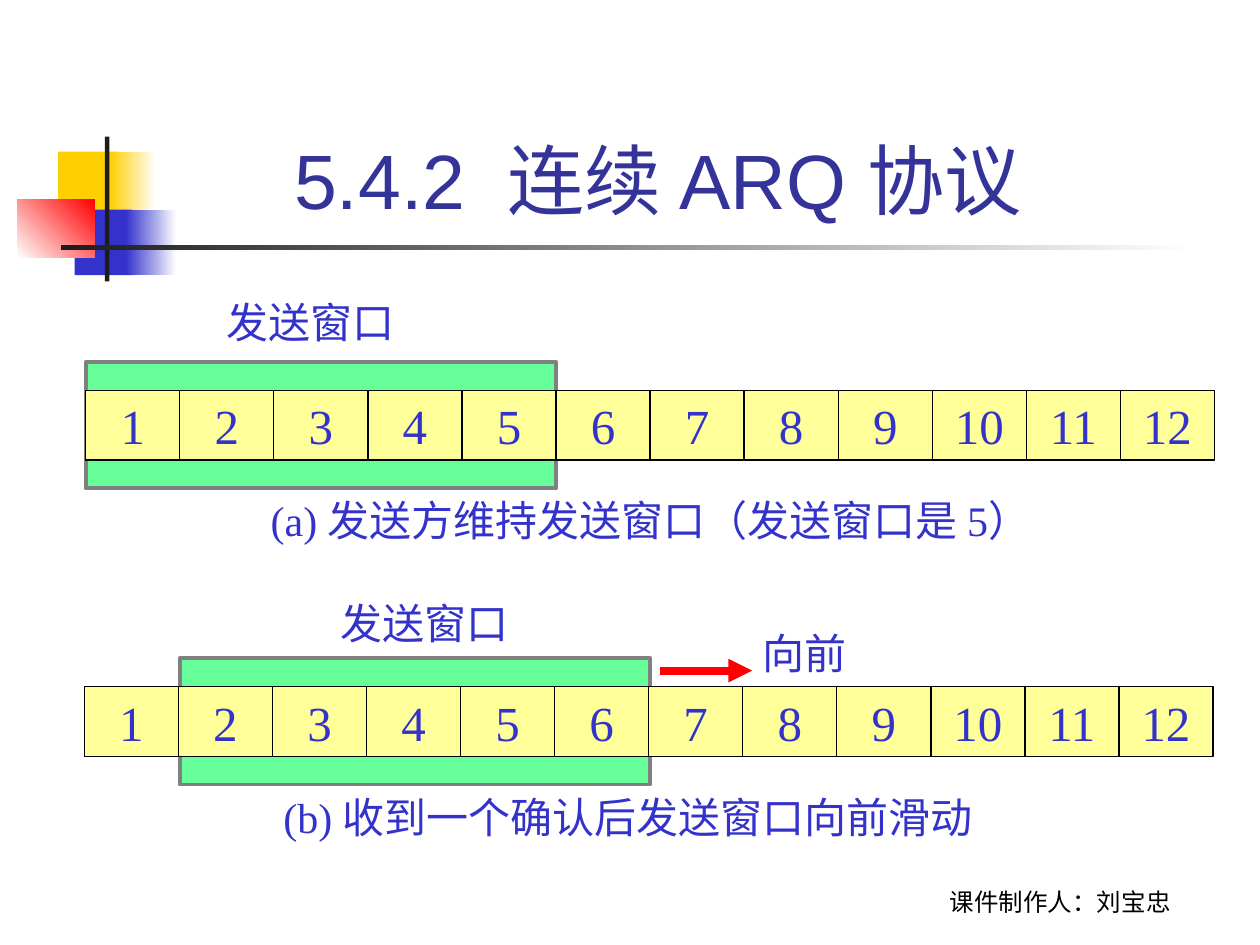
"""Build the slide on the sliding send window of the continuous ARQ protocol."""
import lxml.etree
import pptx
import pptx.dml.color
import pptx.enum.shapes
import pptx.enum.text
import pptx.oxml.ns
import pptx.util

Pt = pptx.util.Pt
RGBColor = pptx.dml.color.RGBColor
PP_ALIGN = pptx.enum.text.PP_ALIGN
MSO_ANCHOR = pptx.enum.text.MSO_ANCHOR
MSO_AUTO_SIZE = pptx.enum.text.MSO_AUTO_SIZE
qn = pptx.oxml.ns.qn

WHITE = RGBColor(0xFF, 0xFF, 0xFF)
BLACK = RGBColor(0x00, 0x00, 0x00)
CHARCOAL = RGBColor(0x1C, 0x1C, 0x1C)
GRAY = RGBColor(0x80, 0x80, 0x80)
GOLD = RGBColor(0xFF, 0xCF, 0x01)
BLUE = RGBColor(0x33, 0x33, 0xCC)
TITLE_BLUE = RGBColor(0x33, 0x33, 0x99)
RED = RGBColor(0xFF, 0x00, 0x00)
GREEN = RGBColor(0x66, 0xFF, 0x99)
YELLOW = RGBColor(0xFF, 0xFF, 0x99)

FRAME_COUNT = 12
WINDOW_SIZE = 5
CELL_WIDTH = 53.75
CELL_HEIGHT = 39.7
WINDOW_LEFT = 49
WINDOW_OVERHANG = 16.2


class SlideBuilder:
    """Hold the text styles and the current slide, and draw each kind of element."""

    styles = {
        "title": {"size": Pt(44), "name": "Arial", "color": TITLE_BLUE},
        "number": {"size": Pt(28), "name": "Times New Roman", "color": BLUE},
        "caption": {"size": Pt(24), "name": "Times New Roman", "color": BLUE},
        "footer": {"size": Pt(14), "name": "Lato", "color": BLACK},
    }
    frames = {
        "title": {"word_wrap": True, "vertical_anchor": MSO_ANCHOR.BOTTOM},
        "number": {"word_wrap": False, "vertical_anchor": MSO_ANCHOR.MIDDLE},
        "caption": {"word_wrap": False, "auto_size": MSO_AUTO_SIZE.SHAPE_TO_FIT_TEXT},
        "footer": {"word_wrap": True, "vertical_anchor": MSO_ANCHOR.BOTTOM},
    }

    def __init__(self, slide):
        self.slide = slide

    def rectangle(self, left, top, width, height, colors, angle=0, line=None):
        """Add a rectangle with one solid colour or a two-colour gradient."""
        shape = self.slide.shapes.add_shape(
            pptx.enum.shapes.MSO_SHAPE.RECTANGLE, Pt(left), Pt(top), Pt(width), Pt(height))
        shape.shadow.inherit = False
        if len(colors) == 1:
            shape.fill.solid()
            shape.fill.fore_color.rgb = colors[0]
        else:
            shape.fill.gradient()
            shape.fill.gradient_angle = angle
            for stop, color in zip(shape.fill.gradient_stops, colors):
                stop.color.rgb = color
        if line:
            shape.line.color.rgb, shape.line.width = line[0], Pt(line[1])
        else:
            shape.line.fill.background()

    def text(self, left, top, width, height, pieces, style):
        """Add a text box whose pieces are (text, letter spacing in points) pairs."""
        shape = self.slide.shapes.add_textbox(Pt(left), Pt(top), Pt(width), Pt(height))
        for name, value in self.frames[style].items():
            setattr(shape.text_frame, name, value)
        paragraph = shape.text_frame.paragraphs[0]
        paragraph.alignment = PP_ALIGN.LEFT if style == "caption" else PP_ALIGN.CENTER
        for content, spacing in pieces:
            run = paragraph.add_run()
            run.text = content
            for name, value in self.styles[style].items():
                if name == "color":
                    run.font.color.rgb = value
                else:
                    setattr(run.font, name, value)
            if spacing:
                run.font._element.set("spc", str(spacing * 100))

    def line(self, start, end, color, width, arrow=False):
        """Add a straight line, with an arrowhead at its end if asked."""
        connector = self.slide.shapes.add_connector(
            pptx.enum.shapes.MSO_CONNECTOR.STRAIGHT, *(Pt(value) for value in start + end))
        connector.line.color.rgb = color
        connector.line.width = Pt(width)
        if arrow:
            line_element = connector.line._get_or_add_ln()
            lxml.etree.SubElement(line_element, qn("a:tailEnd"), type="triangle")
        lxml.etree.SubElement(connector._element.spPr, qn("a:effectLst"))

    def frame_row(self, left, top, window_start):
        """Add the send window and the row of numbered frames over it."""
        self.rectangle(WINDOW_LEFT + window_start * CELL_WIDTH, top - WINDOW_OVERHANG,
                       WINDOW_SIZE * CELL_WIDTH, CELL_HEIGHT + 2 * WINDOW_OVERHANG,
                       [GREEN], line=(GRAY, 2.25))
        self.rectangle(left, top, FRAME_COUNT * CELL_WIDTH, CELL_HEIGHT,
                       [YELLOW], line=(BLACK, 0.75))
        for index in range(FRAME_COUNT):
            cell_left = left + index * CELL_WIDTH
            self.text(cell_left, top, CELL_WIDTH, CELL_HEIGHT, [(str(index + 1), 0)], "number")
            if index:
                self.line((cell_left, top), (cell_left, top + CELL_HEIGHT), BLACK, 0.75)


def main():
    """Build and save the presentation."""
    presentation = pptx.Presentation()
    presentation.slide_width, presentation.slide_height = Pt(720), Pt(540)
    builder = SlideBuilder(presentation.slides.add_slide(presentation.slide_layouts[6]))

    for left, top, width, height, colors, angle in (
        (33.2, 86.6, 34.4, 37.4, [GOLD], 0),
        (63, 86.6, 26, 37.4, [GOLD, WHITE], 0),
        (42.7, 119.8, 33, 37.4, [BLUE], 0),
        (72, 119.8, 28.8, 37.4, [BLUE, WHITE], 0),
        (9.8, 113.8, 44.4, 33.4, [WHITE, RED], 45),
        (60, 78, 2.5, 82.8, [CHARCOAL], 0),
        (34.8, 140.2, 648, 2.5, [CHARCOAL, WHITE], 0),
    ):
        builder.rectangle(left, top, width, height, colors, angle)

    title = [("5.4.2", 0), (" ", 12), ("连续 ARQ 协议", 0)]
    builder.text(85.5, 16.6, 581, 115.2, title, "title")
    builder.text(491.8, 491, 228.2, 36, [("课件制作人：刘宝忠", 0)], "footer")

    builder.frame_row(49, 223.2, window_start=0)
    builder.frame_row(48.2, 392.4, window_start=1)
    builder.line((377.3, 383.2), (429.8, 383.2), RED, 4.5, arrow=True)

    for left, top, width, content in (
        (122.4, 166, 112, "发送窗口"),
        (147.6, 279, 466, "(a) 发送方维持发送窗口（发送窗口是 5）"),
        (187.5, 337.7, 112, "发送窗口"),
        (428.4, 355, 66, "向前"),
        (154.8, 448.6, 414, "(b) 收到一个确认后发送窗口向前滑动"),
    ):
        builder.text(left, top, width, 36, [(content, 0)], "caption")

    presentation.save("out.pptx")


if __name__ == "__main__":
    main()
